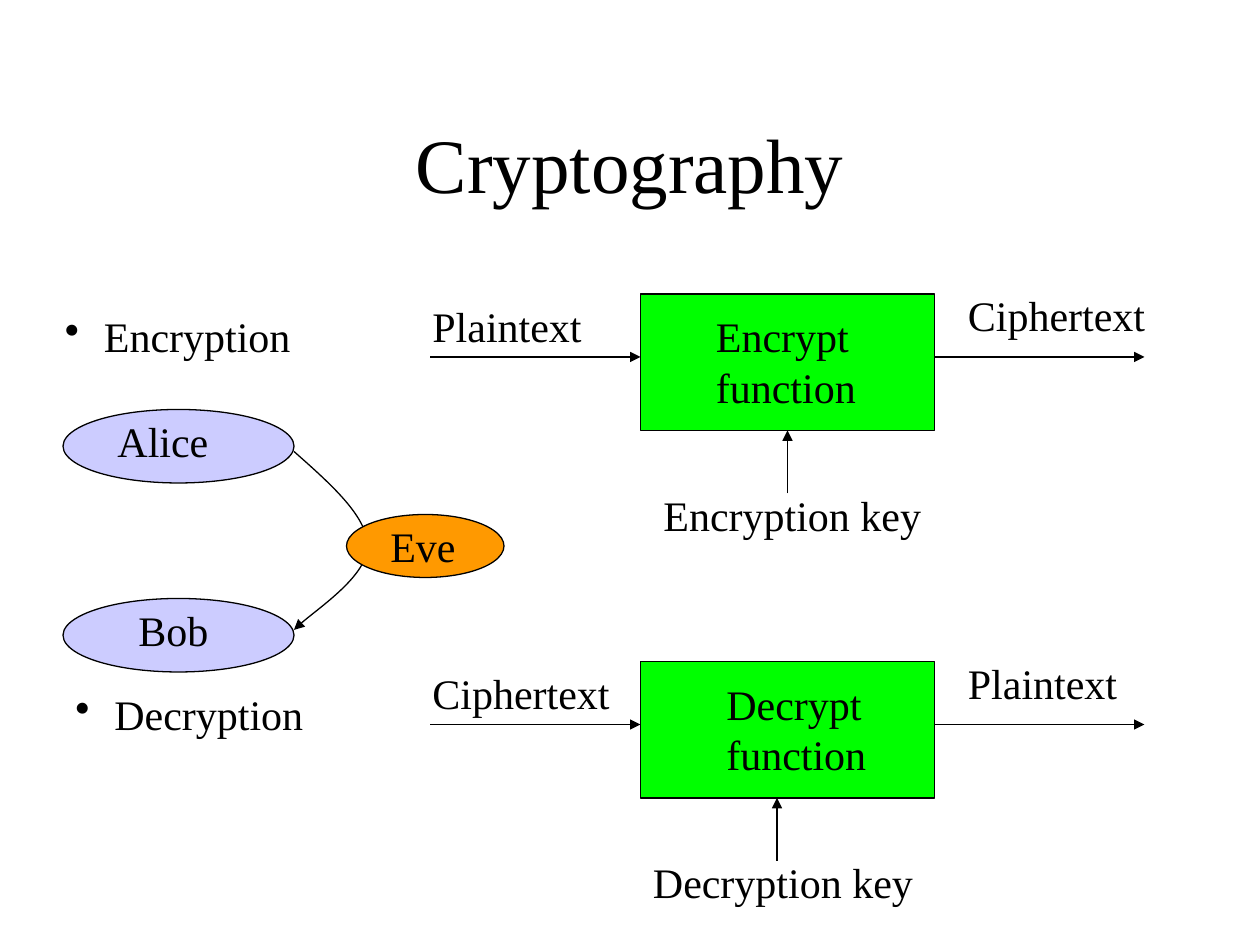
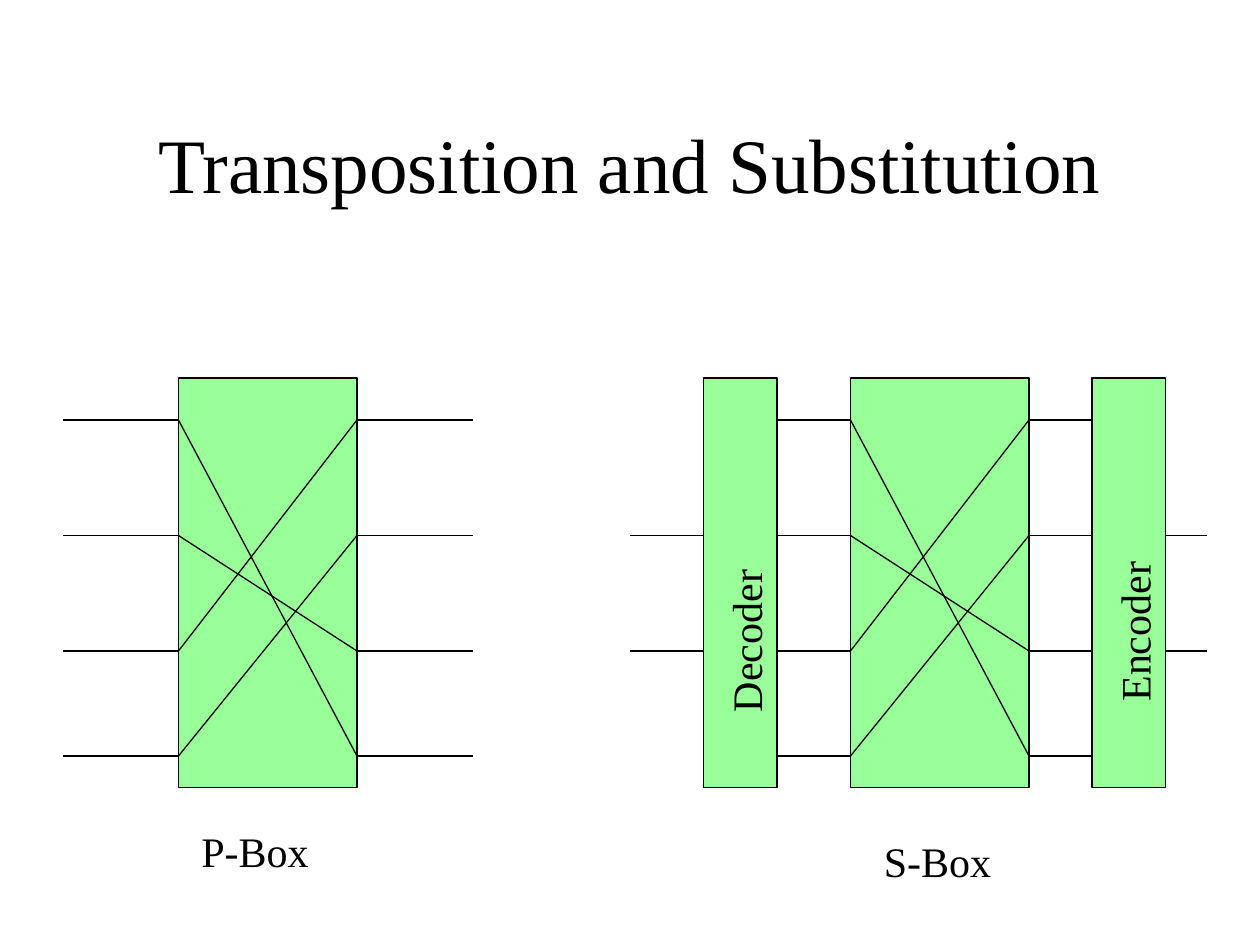
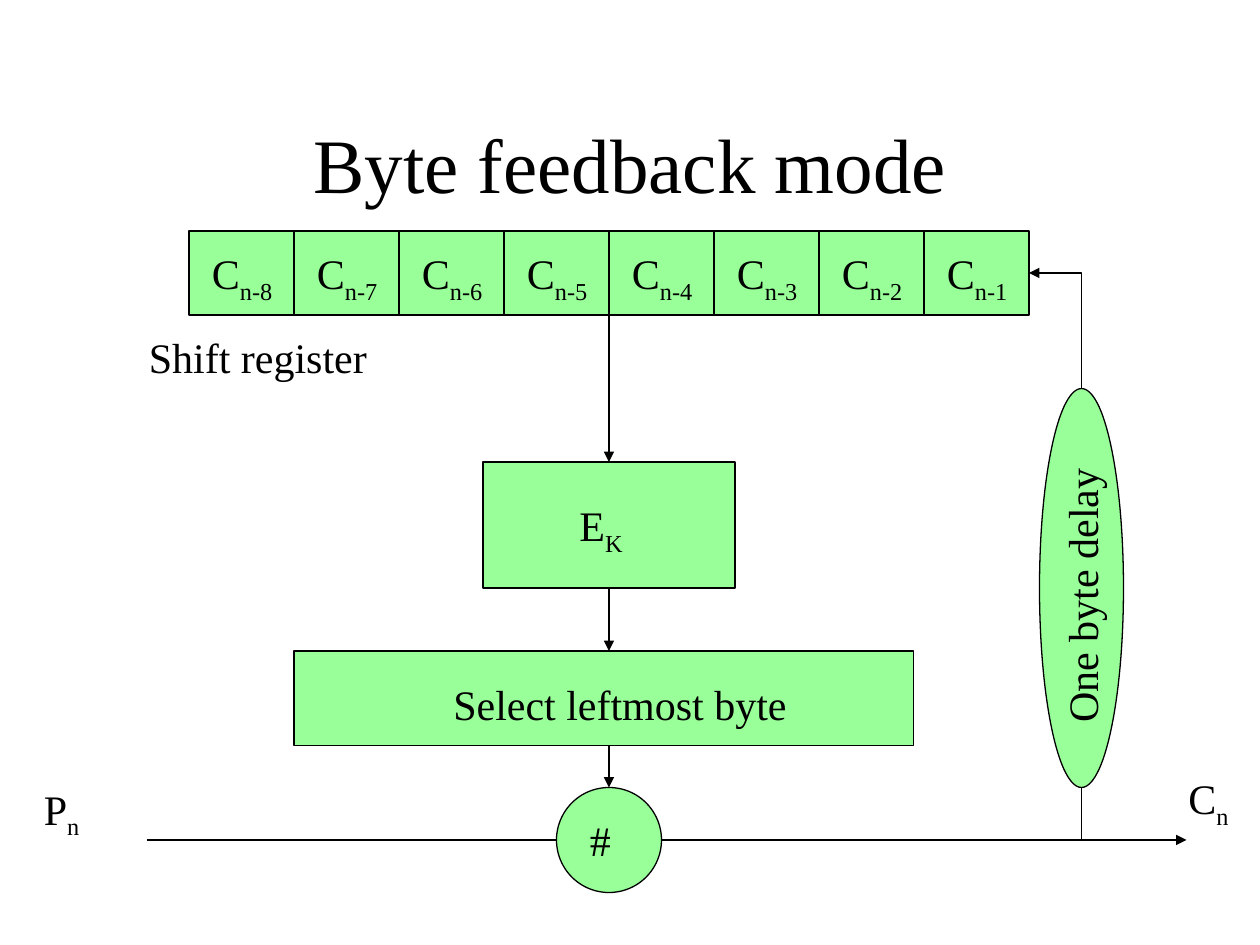
from pptx import Presentation
from pptx.dml.color import RGBColor
from pptx.enum.shapes import MSO_CONNECTOR, MSO_SHAPE
from pptx.enum.text import MSO_ANCHOR, MSO_AUTO_SIZE, PP_ALIGN
from pptx.oxml.ns import qn
from pptx.oxml.xmlchemy import OxmlElement
from pptx.util import Inches, Pt

RECTANGLE, ELLIPSE = MSO_SHAPE.RECTANGLE, MSO_SHAPE.OVAL
STRAIGHT = MSO_CONNECTOR.STRAIGHT
MIDDLE, CENTER = MSO_ANCHOR.MIDDLE, PP_ALIGN.CENTER
GROW = MSO_AUTO_SIZE.SHAPE_TO_FIT_TEXT
TOP, BOTTOM = 0, 2

BLACK = RGBColor(0x00, 0x00, 0x00)
GREEN = RGBColor(0x00, 0xFF, 0x00)
PALE_GREEN = RGBColor(0x99, 0xFF, 0x99)
LILAC = RGBColor(0xCC, 0xCC, 0xFF)
ORANGE = RGBColor(0xFF, 0x99, 0x00)

FONT = "Times New Roman"
TITLE_FONT = {"name": FONT, "size": Pt(44)}
BODY_FONT = {"name": FONT, "size": Pt(24)}

# The slide is a grid of 120 columns by 90 rows, twelve to the inch
COLUMNS, ROWS = 120, 90
UNIT = Inches(10) // COLUMNS
LABEL_HEIGHT = 6


def grid(*lengths):
    return [round(length * UNIT) for length in lengths]


# Shared parts
def format_font(font, values):
    for name, value in values.items():
        setattr(font, name, value)
    font.color.rgb = BLACK


def add_page(deck, title_text):
    page = deck.slides.add_slide(deck.slide_layouts[5])
    title = page.shapes.title
    title.left, title.top, title.width, title.height = grid(9, 8, 102, 15)
    frame = title.text_frame
    frame.text = title_text
    frame.vertical_anchor = MIDDLE
    para = frame.paragraphs[0]
    para.alignment = CENTER
    format_font(para.runs[0].font, TITLE_FONT)
    return page


def style_line(item, head=False, tail=False):
    item.line.color.rgb = BLACK
    item.line.width = Pt(0.75)
    for tag, wanted in (("a:headEnd", head), ("a:tailEnd", tail)):
        if wanted:
            end = OxmlElement(tag)
            end.set("type", "triangle")
            item.line._get_or_add_ln().append(end)


def add_block(shapes, kind, box, fill):
    block = shapes.add_shape(kind, *grid(*box))
    block.shadow.inherit = False
    block.fill.solid()
    block.fill.fore_color.rgb = fill
    style_line(block)
    return block


def add_line(shapes, start, end, arrow=False):
    line = shapes.add_connector(STRAIGHT, *grid(*start, *end))
    style_line(line, tail=arrow)
    line._element.spPr.append(OxmlElement("a:effectLst"))
    return line


def add_label(shapes, text, left, top, width, height=LABEL_HEIGHT,
              subscript="", rotation=0, bullet=False):
    label = shapes.add_textbox(*grid(left, top, width, height))
    label.rotation = rotation
    frame = label.text_frame
    frame.word_wrap = True
    frame.auto_size = GROW
    para = frame.paragraphs[0]
    if bullet:
        properties = para._p.get_or_add_pPr()
        indent = Inches(0.31)
        properties.set("marL", str(indent))
        properties.set("indent", str(-indent))
        mark = OxmlElement("a:buChar")
        mark.set("char", "•")
        properties.append(mark)
    for part in filter(None, (text, subscript)):
        span = para.add_run()
        span.text = part
        format_font(span.font, BODY_FONT)
    if subscript:
        span.font._element.set("baseline", "-25000")
    return label


def add_outline(shapes, points, **arrows):
    start, *others = [grid(*point) for point in points]
    builder = shapes.build_freeform(*start)
    builder.add_line_segments(others, close=False)
    outline = builder.convert_to_shape()
    outline.shadow.inherit = False
    outline.fill.background()
    style_line(outline, **arrows)
    return outline


def bend_segments(outline, controls):
    """Turn each straight segment into a curve with two control points."""
    for segment, handles in zip(list(outline._element.iter(qn("a:lnTo"))), controls):
        curve = OxmlElement("a:cubicBezTo")
        for handle in handles:
            x, y = grid(*handle)
            point = OxmlElement("a:pt")
            point.set("x", str(x - outline.left))
            point.set("y", str(y - outline.top))
            curve.append(point)
        curve.append(segment[0])
        segment.getparent().replace(segment, curve)


# Slide 1: cryptography
def draw_function(shapes, top, name, source, result, shift):
    """One function with its input, output and key; shift nudges its labels."""
    add_label(shapes, f"{name}ion", 5 + shift, top + 1 + shift, 31, bullet=True)
    block = add_block(shapes, RECTANGLE, (61, top, 28, 13), GREEN)
    add_label(shapes, f"{name} function", 67 + shift, top + 1, 16, 10.8)
    add_label(shapes, source, 40, top, 21)
    add_label(shapes, result, 91, top - 1, 22)
    for left, right in ((41, 61), (89, 109)):
        add_line(shapes, (left, top + 6), (right, top + 6), arrow=True)
    key_x = 75 - shift
    key_arrow = add_line(shapes, (key_x, top + 19), (key_x, top + 13), arrow=True)
    if not shift:
        key_arrow.end_connect(block, BOTTOM)
    add_label(shapes, f"{name}ion key", 62 - shift, top + 18, 32)


def draw_person(shapes, name, box, fill, indent, width):
    group = shapes.add_group_shape()
    left, top = box[:2]
    add_block(group.shapes, ELLIPSE, box, fill)
    add_label(group.shapes, name, left + indent, top, width)


def build_cryptography(deck):
    shapes = add_page(deck, "Cryptography").shapes
    draw_function(shapes, 28, "Encrypt", "Plaintext", "Ciphertext", 0)
    draw_function(shapes, 63, "Decrypt", "Ciphertext", "Plaintext", 1)
    # Message from Alice to Bob, passing Eve
    draw_person(shapes, "Alice", (6, 39, 22, 7), LILAC, 4, 15)
    draw_person(shapes, "Bob", (6, 57, 22, 7), LILAC, 6, 15)
    message = add_outline(shapes, [(28, 43), (35, 52), (28, 60)], tail=True)
    bend_segments(message, [((31.5, 46.1), (35, 49.2)),
                            ((35, 54.8), (29.2, 58.7))])
    draw_person(shapes, "Eve", (33, 49, 15, 6), ORANGE, 3, 12)


# Slide 2: transposition and substitution
WIRE_ROWS = (40, 51, 62, 72)
CROSSINGS = ((3, 1), (1, 2), (2, 0), (0, 3))
BOX_TOP, BOX_HEIGHT, CORE_WIDTH = 36, 39, 17


def draw_permutation(shapes, left, wire_spans):
    for row, (start, end) in zip(WIRE_ROWS, wire_spans):
        add_line(shapes, (start, row), (end, row))
    add_block(shapes, RECTANGLE, (left, BOX_TOP, CORE_WIDTH, BOX_HEIGHT), PALE_GREEN)
    for entry, leaving in CROSSINGS:
        add_line(shapes, (left, WIRE_ROWS[entry]),
                 (left + CORE_WIDTH, WIRE_ROWS[leaving]))


def draw_coder(shapes, name, left, label_top):
    add_block(shapes, RECTANGLE, (left, BOX_TOP, 7, BOX_HEIGHT), PALE_GREEN)
    add_label(shapes, name, left - 10.5, label_top, 29, rotation=270)


def build_boxes(deck):
    shapes = add_page(deck, "Transposition and Substitution").shapes
    # P-Box
    draw_permutation(shapes, 17, [(6, 45)] * len(WIRE_ROWS))
    add_label(shapes, "P-Box", 18, 78, 13)
    # S-Box
    outer, inner = (70, 109), (60, 115)
    draw_permutation(shapes, 81, [outer, inner, inner, outer])
    draw_coder(shapes, "Decoder", 67, 51.5)
    draw_coder(shapes, "Encoder", 104, 50.5)
    add_label(shapes, "S-Box", 83, 79, 13)


# Slide 3: byte feedback mode
SUBSCRIPT_HEIGHT = 6.7
AXIS = 58


def draw_register(shapes, left, top, count, cell_width):
    for index in range(count):
        cell_left = left + index * cell_width
        add_block(shapes, RECTANGLE, (cell_left, top, cell_width, 8), PALE_GREEN)
        add_label(shapes, "C", cell_left + 1, top + 1, cell_width - 1,
                  SUBSCRIPT_HEIGHT, subscript=f"n-{count - index}")
    add_label(shapes, "Shift register", left - 5, top + 9, 43)


def draw_cipher(shapes):
    cipher = add_block(shapes, RECTANGLE, (46, 44, 24, 12), PALE_GREEN)
    add_label(shapes, "E", 54, 47, 8, SUBSCRIPT_HEIGHT, subscript="K")
    add_block(shapes, RECTANGLE, (28, 62, 59, 9), PALE_GREEN)
    add_label(shapes, "Select leftmost byte", 42, 64, 37)
    combiner = add_block(shapes, ELLIPSE, (53, 75, 10, 10), PALE_GREEN)
    add_label(shapes, "#", 55, 77, 6)
    # Arrows down the axis
    into, out_of, last = [add_line(shapes, (AXIS, start), (AXIS, end), arrow=True)
                          for start, end in ((30, 44), (56, 62), (71, 75))]
    into.end_connect(cipher, TOP)
    out_of.begin_connect(cipher, BOTTOM)
    last.end_connect(combiner, TOP)


def draw_feedback(shapes):
    add_outline(shapes, [(98, 26), (103, 26), (103, 80)], head=True)
    add_block(shapes, ELLIPSE, (99, 37, 8, 38), PALE_GREEN)
    add_label(shapes, "One byte delay", 89.5, 53.5, 27, rotation=270)


def build_feedback(deck):
    shapes = add_page(deck, "Byte feedback mode").shapes
    add_line(shapes, (14, 80), (113, 80), arrow=True)
    draw_register(shapes, 18, 22, 8, 10)
    draw_cipher(shapes)
    add_label(shapes, "P", 3, 74, 11, SUBSCRIPT_HEIGHT, subscript="n")
    add_label(shapes, "C", 112, 73, 8, SUBSCRIPT_HEIGHT, subscript="n")
    draw_feedback(shapes)


def main():
    deck = Presentation()
    deck.slide_width, deck.slide_height = grid(COLUMNS, ROWS)
    build_cryptography(deck)
    build_boxes(deck)
    build_feedback(deck)
    deck.save("out.pptx")


if __name__ == "__main__":
    main()
